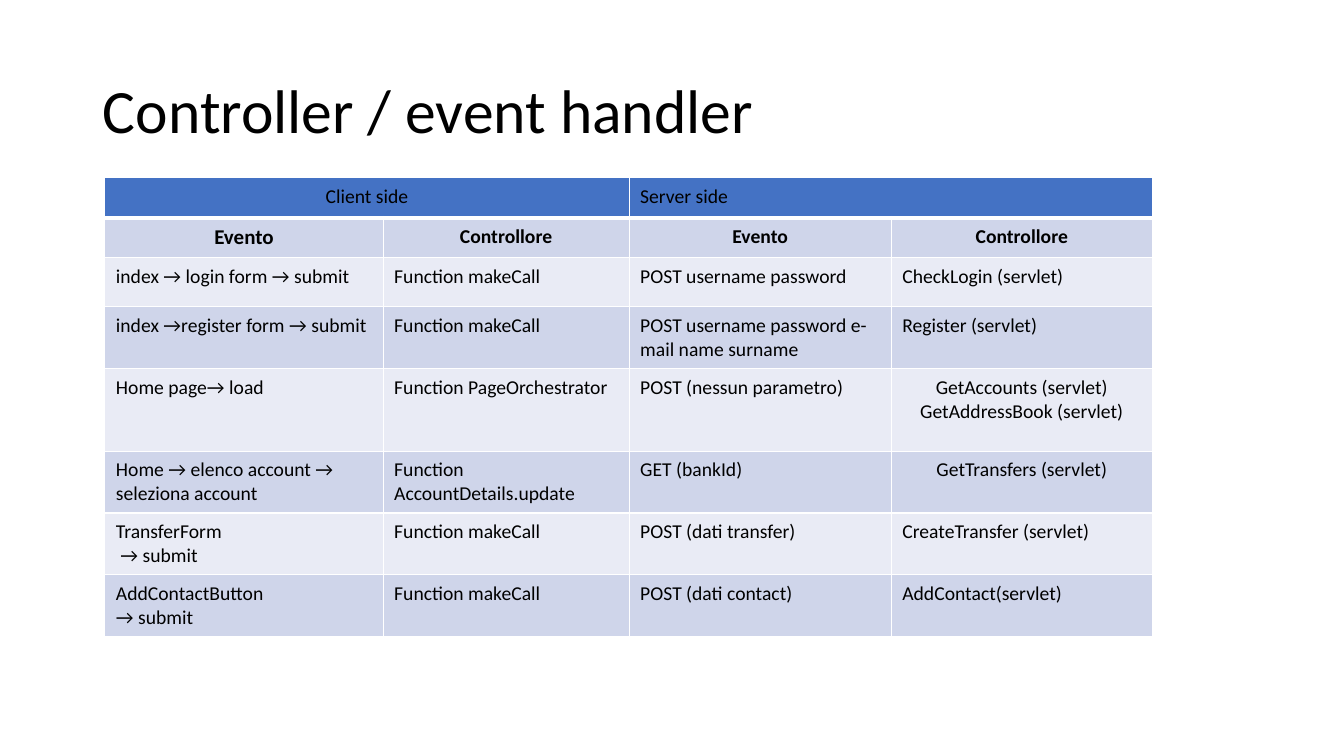
from dataclasses import dataclass

from lxml import etree
from pptx import Presentation
from pptx.dml.color import RGBColor
from pptx.enum.text import MSO_ANCHOR, MSO_AUTO_SIZE, PP_ALIGN
from pptx.oxml.ns import qn
from pptx.util import Inches, Pt

LEFT, CENTER = PP_ALIGN.LEFT, PP_ALIGN.CENTER
TITLE_ONLY = 5

TITLE = "Controller / event handler"
SIDES = ["Client side", "Server side"]
COLUMN_HEADS = ["Evento", "Controllore"] * 2
HANDLERS = [
    ["index → login form → submit", "Function makeCall",
     "POST username password", "CheckLogin (servlet)"],
    ["index →register form → submit", "Function makeCall",
     "POST username password e-mail name surname", "Register (servlet)"],
    ["Home page→ load", "Function PageOrchestrator",
     "POST (nessun parametro)", "GetAccounts (servlet)\nGetAddressBook (servlet)"],
    ["Home → elenco account → seleziona account", "Function AccountDetails.update",
     "GET (bankId)", "GetTransfers (servlet)"],
    ["TransferForm\n → submit", "Function makeCall",
     "POST (dati transfer)", "CreateTransfer (servlet)"],
    ["AddContactButton\n→ submit", "Function makeCall",
     "POST (dati contact)", "AddContact(servlet)"],
]
CENTERED_HANDLERS = {(2, 3), (3, 3)}  # (handler, column)

COLUMN_WIDTHS = [2.76, 2.44, 2.6, 2.59]
ROW_HEIGHTS = [0.4, 0.37, 0.49, 0.59, 0.82, 0.61, 0.59, 0.53]
TABLE_LEFT, TABLE_TOP = 1.04, 1.76
HEADER_ROWS = 2


@dataclass(frozen=True)
class Theme:
    font: str = "Calibri"
    ink: str = "000000"
    header: str = "4472C4"
    bands: tuple = ("E9EBF5", "CFD5EA")
    border: str = "FFFFFF"
    title_size: int = 44
    first_head_size: int = 15
    cell_size: int = 14
    thin: int = 1
    thick: int = 3


THEME = Theme()


def style_paragraphs(frame, size, align, bold=False):
    for paragraph in frame.paragraphs:
        paragraph.alignment = align
        for run in paragraph.runs:
            run.font.name = THEME.font
            run.font.size = Pt(size)
            run.font.bold = bold
            run.font.color.rgb = RGBColor.from_string(THEME.ink)


def add_borders(cell, bottom_width):
    """Draw the four cell edges; must run before the cell is filled."""
    properties = cell._tc.get_or_add_tcPr()
    for side in "LRTB":
        width = bottom_width if side == "B" else THEME.thin
        line = etree.SubElement(properties, qn(f"a:ln{side}"), w=str(Pt(width)))
        fill = etree.SubElement(line, qn("a:solidFill"))
        etree.SubElement(fill, qn("a:srgbClr"), val=THEME.border)


def format_cell(cell, row):
    add_borders(cell, THEME.thick if row == 0 else THEME.thin)
    color = THEME.bands[row % 2] if row else THEME.header
    cell.fill.solid()
    cell.fill.fore_color.rgb = RGBColor.from_string(color)
    cell.margin_left = cell.margin_right = Inches(0.11)
    cell.margin_top = cell.margin_bottom = Inches(0.07)


def write_cell(cell, text, align=LEFT, size=THEME.cell_size, bold=False):
    cell.text_frame.text = text
    style_paragraphs(cell.text_frame, size, align, bold)


def add_title(slide):
    title = slide.shapes.title
    title.left, title.top = Inches(0.92), Inches(0.4)
    title.width, title.height = Inches(11.5), Inches(1.45)
    frame = title.text_frame
    frame.text = TITLE
    frame.auto_size = MSO_AUTO_SIZE.NONE
    frame.vertical_anchor = MSO_ANCHOR.MIDDLE
    frame.paragraphs[0].line_spacing = 0.9
    style_paragraphs(frame, THEME.title_size, LEFT)


def add_handler_table(slide):
    table = slide.shapes.add_table(
        len(ROW_HEIGHTS), len(COLUMN_WIDTHS), Inches(TABLE_LEFT), Inches(TABLE_TOP),
        Inches(sum(COLUMN_WIDTHS)), Inches(sum(ROW_HEIGHTS))).table
    for column, width in zip(table.columns, COLUMN_WIDTHS):
        column.width = Inches(width)
    for row, height in enumerate(ROW_HEIGHTS):
        table.rows[row].height = Inches(height)
        for cell in table.rows[row].cells:
            format_cell(cell, row)

    for index, (side, align) in enumerate(zip(SIDES, (CENTER, LEFT))):
        first = table.cell(0, 2 * index)
        first.merge(table.cell(0, 2 * index + 1))
        write_cell(first, side, align)
    for column, head in enumerate(COLUMN_HEADS):
        size = THEME.cell_size if column else THEME.first_head_size
        write_cell(table.cell(1, column), head, CENTER, size, bold=True)
    for index, handler in enumerate(HANDLERS):
        for column, text in enumerate(handler):
            align = CENTER if (index, column) in CENTERED_HANDLERS else LEFT
            write_cell(table.cell(HEADER_ROWS + index, column), text, align)


def main():
    deck = Presentation()
    deck.slide_width, deck.slide_height = Inches(13.33), Inches(7.5)
    slide = deck.slides.add_slide(deck.slide_layouts[TITLE_ONLY])
    add_title(slide)
    add_handler_table(slide)
    deck.save("out.pptx")


if __name__ == "__main__":
    main()
